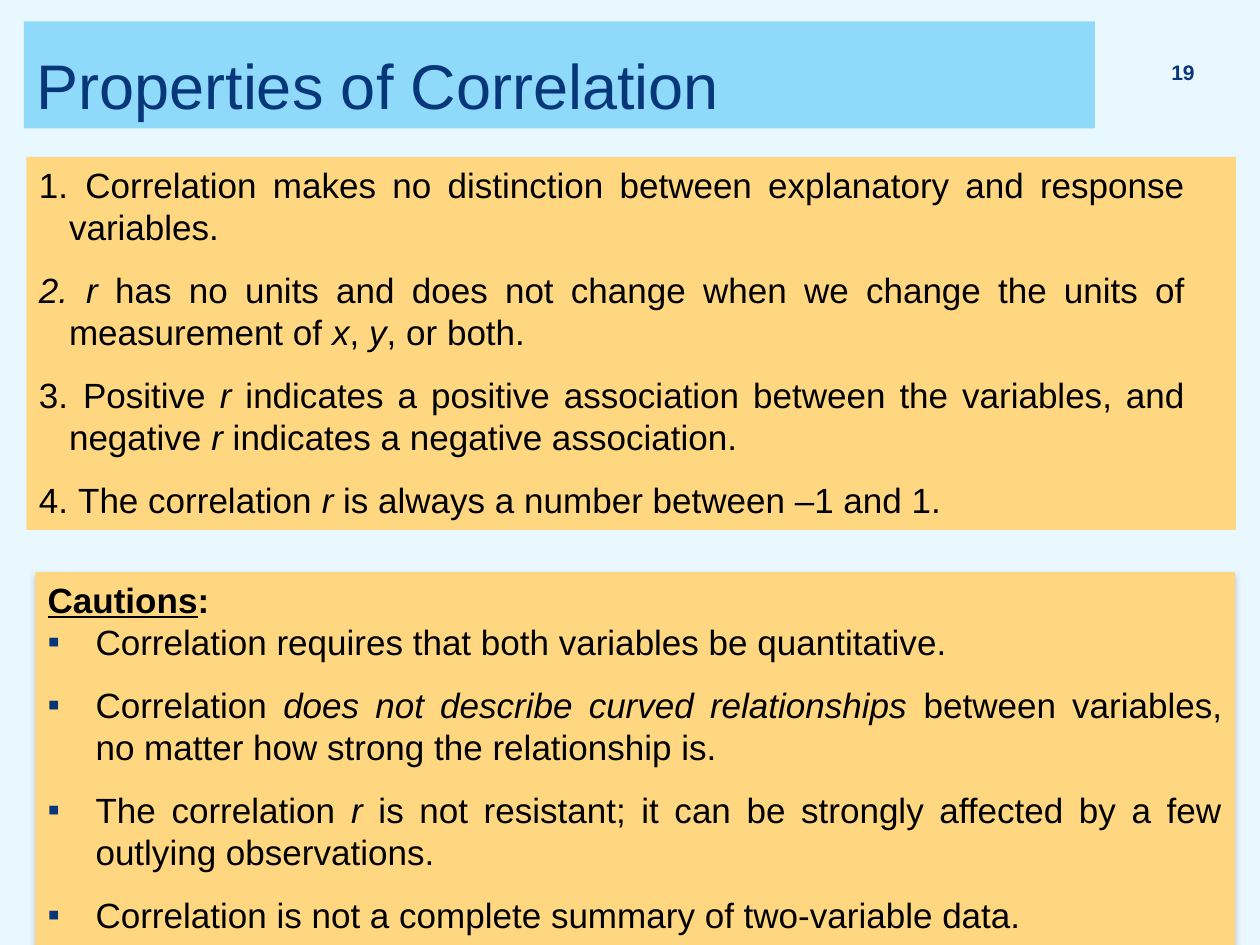
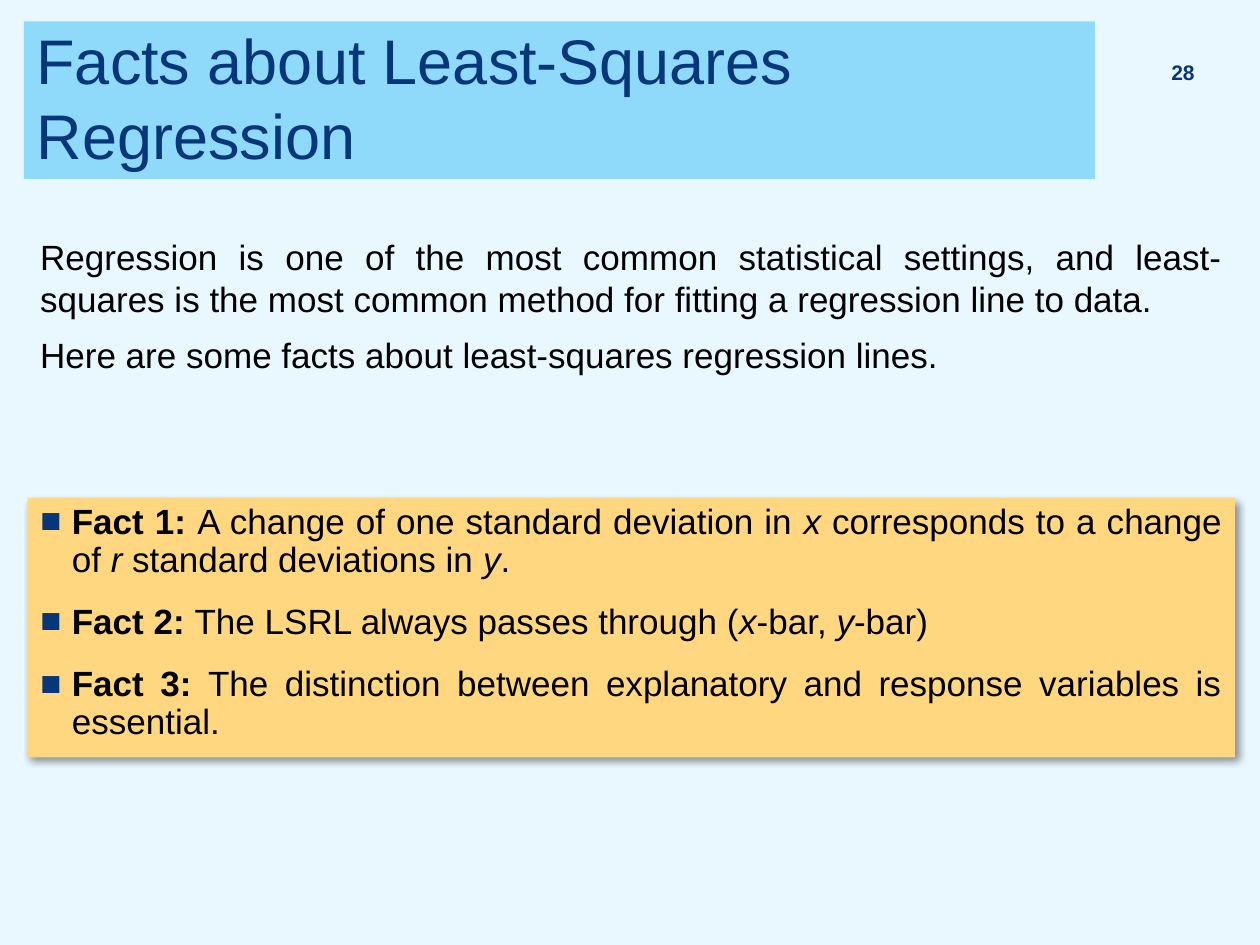
from dataclasses import dataclass

from lxml.etree import SubElement
from pptx import Presentation
from pptx.dml.color import RGBColor
from pptx.enum.shapes import MSO_SHAPE
from pptx.enum.text import MSO_ANCHOR, MSO_AUTO_SIZE, PP_ALIGN
from pptx.oxml.ns import qn
from pptx.util import Inches, Pt

PAGE_WIDTH, PAGE_HEIGHT = Inches(10), Inches(7.5)
SKY = RGBColor(0xE9, 0xF7, 0xFE)
BAND = RGBColor(0x8F, 0xD9, 0xFB)
NAVY = RGBColor(0x07, 0x37, 0x79)
SAND = RGBColor(0xFF, 0xD7, 0x80)
BLACK = RGBColor(0, 0, 0)
GREY = RGBColor(0x80, 0x80, 0x80)
FONT = "Arial"
BODY_SIZE = 20
TITLE_ONLY, TITLE_AND_BODY = 5, 1

PROPERTIES = [
    [(" Correlation makes no distinction between explanatory and response variables.", "")],
    [(" r", "i"), (" has no units and does not change when we change the units of measurement of ", ""),
     ("x", "i"), (", ", ""), ("y", "i"), (", or both.", "")],
    [(" Positive ", ""), ("r", "i"),
     (" indicates a positive association between the variables, and negative ", ""),
     ("r", "i"), (" indicates a negative association.", "")],
    [(" The correlation ", ""), ("r", "i"), (" is always a number between –1 and 1.", "")],
]
CAUTIONS_HEADING = [("Cautions", "bu"), (":", "b")]
CAUTIONS = [
    [("Correlation requires that both variables be quantitative.", "")],
    [("Correlation ", ""), ("does not describe curved relationships", "i"),
     (" between variables, no matter how strong the relationship is.", "")],
    [("The correlation ", ""), ("r ", "i"),
     ("is not resistant; it can be strongly affected by a few outlying observations.", "")],
    [("Correlation is not a complete summary of two-variable data.", "")],
]
INTRODUCTION = [
    [("Regression is one of the most common statistical settings, and least- squares "
      "is the most common method for fitting a regression line to data.", "")],
    [("Here are some facts about least-squares regression lines.", "")],
]
FACTS = [
    [("Fact 1: ", "b"), ("A change of one standard deviation in ", ""), ("x", "i"),
     (" corresponds to a change of ", ""), ("r", "i"),
     (" standard deviations in ", ""), ("y", "i"), (".", "")],
    [("Fact 2: ", "b"), ("The LSRL always passes through (", ""), ("x", "i"),
     ("-bar, ", ""), ("y", "i"), ("-bar)", "")],
    [("Fact 3: ", "b"),
     ("The distinction between explanatory and response variables is essential.", "")],
]


@dataclass
class Box:
    """A rectangle in percent of the slide's width and height."""
    left: float
    top: float
    width: float
    height: float

    def lengths(self):
        """Return left, top, width and height as slide lengths."""
        return (int(PAGE_WIDTH * self.left / 100), int(PAGE_HEIGHT * self.top / 100),
                int(PAGE_WIDTH * self.width / 100), int(PAGE_HEIGHT * self.height / 100))


def place(shape, box, anchor=MSO_ANCHOR.TOP):
    """Move a shape into its box and return its wrapped text frame."""
    shape.left, shape.top, shape.width, shape.height = box.lengths()
    frame = shape.text_frame
    frame.word_wrap = True
    frame.auto_size = MSO_AUTO_SIZE.NONE
    frame.vertical_anchor = anchor
    return frame


def paint(shape, color):
    """Give a shape a flat fill without outline or shadow."""
    shape.fill.solid()
    shape.fill.fore_color.rgb = color
    shape.line.fill.background()
    shape.shadow.inherit = False


def add_shadow(shape, color, opacity, blur, distance, angle):
    """Add an outer shadow to a painted shape."""
    effects = shape.element.spPr.find(qn("a:effectLst"))
    shadow = SubElement(effects, qn("a:outerShdw"), blurRad=str(Pt(blur)), dist=str(Pt(distance)),
                        dir=str(angle * 60000), algn="ctr", rotWithShape="0")
    tint = SubElement(shadow, qn("a:srgbClr"), val=str(color))
    SubElement(tint, qn("a:alpha"), val=str(opacity * 1000))


def add_bullet(para, indent, mark=None):
    """Hang a paragraph behind a navy mark, or behind a number if no mark is given."""
    props = para._p.get_or_add_pPr()
    props.set("marL", str(Inches(indent)))
    props.set("indent", str(-Inches(indent)))
    if mark:
        SubElement(SubElement(props, qn("a:buClr")), qn("a:srgbClr"), val=str(NAVY))
    SubElement(props, qn("a:buFont"), typeface=FONT)
    if mark:
        SubElement(props, qn("a:buChar"), char=mark)
    else:
        SubElement(props, qn("a:buAutoNum"), type="arabicPeriod")


def write(para, runs, size=BODY_SIZE, color=BLACK, align=PP_ALIGN.JUSTIFY, before=0, after=0, lines=1.0):
    """Fill a paragraph with runs styled by the letters b, i and u."""
    para.alignment = align
    para.space_before, para.space_after = Pt(before), Pt(after)
    para.line_spacing = lines
    for text, style in runs:
        span = para.add_run()
        span.text = text
        font = span.font
        font.name, font.size, font.color.rgb = FONT, Pt(size), color
        font.bold, font.italic, font.underline = (letter in style for letter in "biu")


def next_para(frame):
    """Return the empty first paragraph, or a new one after the text."""
    return frame.add_paragraph() if frame.text else frame.paragraphs[0]


def add_panel(page, box):
    """Add a sand-coloured rectangle."""
    panel = page.shapes.add_shape(MSO_SHAPE.RECTANGLE, *box.lengths())
    paint(panel, SAND)
    return panel


def start_page(deck, layout, title, title_height, number):
    """Add a page with background, title band and page number."""
    page = deck.slides.add_slide(deck.slide_layouts[layout])
    page.background.fill.solid()
    page.background.fill.fore_color.rgb = SKY
    band = page.shapes.title
    paint(band, BAND)
    frame = place(band, Box(1.9, 2.25, 85, title_height), MSO_ANCHOR.BOTTOM)
    write(frame.paragraphs[0], [(title, "")], 36, NAVY, PP_ALIGN.LEFT)
    box = Box(90.3, 5.2, 5.5, 5.33)
    frame = place(page.shapes.add_textbox(*box.lengths()), box, MSO_ANCHOR.MIDDLE)
    write(frame.paragraphs[0], [(number, "b")], 12, NAVY, PP_ALIGN.RIGHT, lines=0.8)
    return page


def properties_panel(page, box):
    """Add the numbered properties."""
    frame = place(add_panel(page, box), box)
    frame.margin_right = Inches(0.4)
    for runs in PROPERTIES:
        para = next_para(frame)
        add_bullet(para, 0.24)
        write(para, runs, after=12)


def cautions_panel(page, box):
    """Add the headed list of cautions."""
    panel = add_panel(page, box)
    add_shadow(panel, GREY, 45, 3, 2.4, 90)
    frame = place(panel, box)
    write(next_para(frame), CAUTIONS_HEADING, align=PP_ALIGN.LEFT)
    for runs in CAUTIONS:
        para = next_para(frame)
        add_bullet(para, 0.38, "▪")
        write(para, runs, after=12)


def introduction(page, box):
    """Add the opening paragraphs on regression."""
    frame = place(page.shapes.add_textbox(*box.lengths()), box)
    for index, runs in enumerate(INTRODUCTION):
        write(next_para(frame), runs, before=8 if index else 0)


def facts_panel(page, box):
    """Fill the body placeholder with the facts."""
    panel = page.placeholders[1]
    paint(panel, SAND)
    add_shadow(panel, BLACK, 43, 4, 3, 45)
    frame = place(panel, box)
    for index, runs in enumerate(FACTS):
        para = next_para(frame)
        add_bullet(para, 0.25, "■")
        write(para, runs, before=8 if index else 0, after=6, lines=0.9)


def main():
    """Build and save both pages."""
    deck = Presentation()
    deck.slide_width, deck.slide_height = PAGE_WIDTH, PAGE_HEIGHT
    page = start_page(deck, TITLE_ONLY, "Properties of Correlation", 11.33, "19")
    properties_panel(page, Box(2.1, 16.6, 96, 39.47))
    cautions_panel(page, Box(2.8, 60.53, 95.2, 39.47))
    page = start_page(deck, TITLE_AND_BODY, "Facts about Least-Squares Regression", 16.67, "28")
    introduction(page, Box(2.2, 24.27, 95.8, 14.8))
    facts_panel(page, Box(2.2, 52.67, 95.8, 27.47))
    deck.save("out.pptx")


if __name__ == "__main__":
    main()
